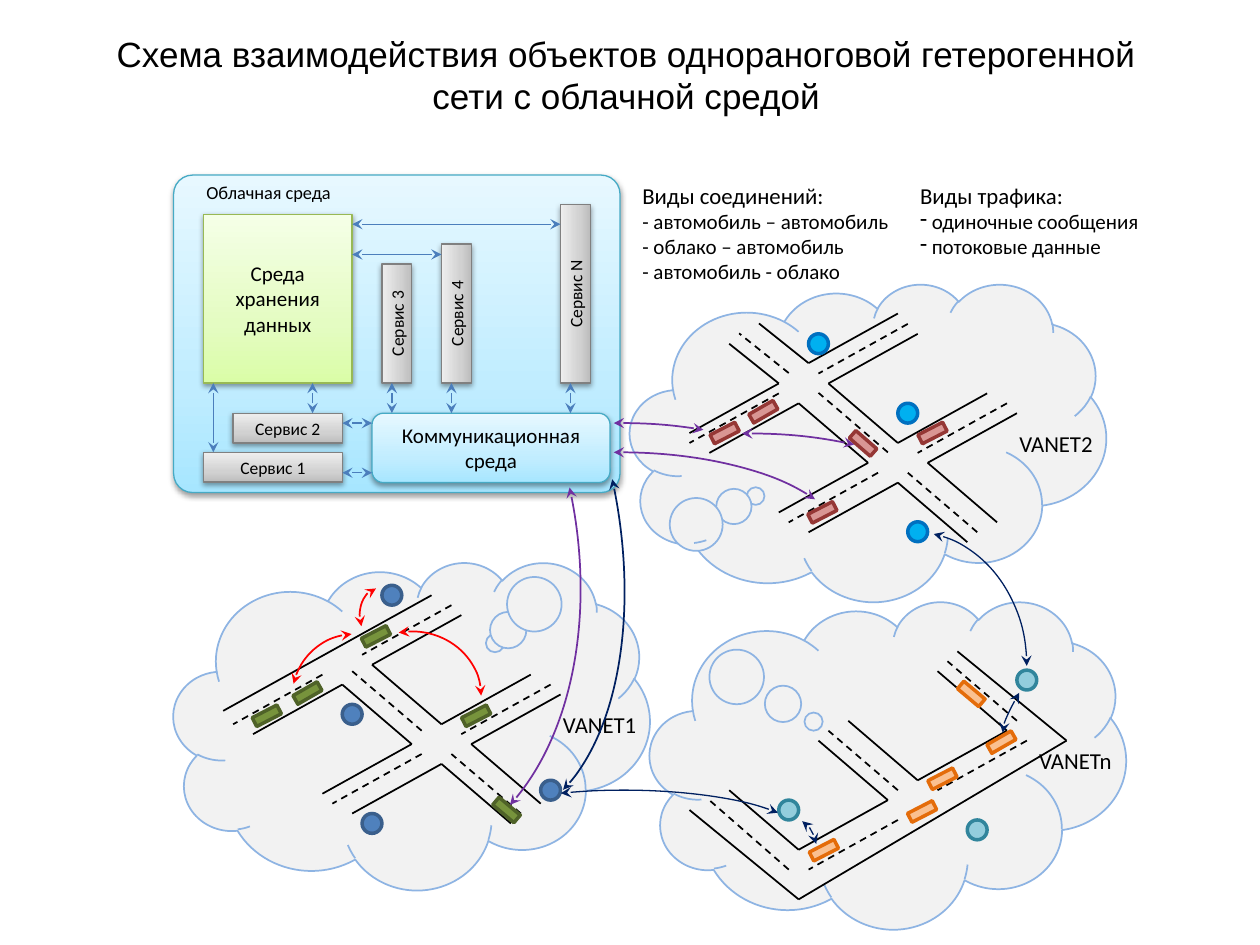
"""Build the slide showing how VANET networks interact with a cloud environment."""
from copy import deepcopy
from typing import NamedTuple

from lxml.etree import SubElement
from pptx import Presentation
from pptx.dml.color import RGBColor
from pptx.enum.dml import MSO_LINE
from pptx.enum.shapes import MSO_CONNECTOR, MSO_SHAPE
from pptx.enum.text import MSO_ANCHOR, PP_ALIGN
from pptx.oxml.ns import qn
from pptx.util import Cm, Pt

BLACK = RGBColor(0, 0, 0)
CLOUD_FILL, CLOUD_LINE = RGBColor(0xF2, 0xF2, 0xF2), RGBColor(0x8E, 0xB4, 0xE3)
LINK_BLUE = RGBColor(0x4B, 0x7E, 0xBC)
RED, PURPLE, NAVY = RGBColor(0xFF, 0, 0), RGBColor(0x70, 0x30, 0xA0), RGBColor(0, 0x20, 0x60)
STREET, AVENUE = (-1.8, 1.0), (-1.4, -1.2)
BAR_WIDTH, BAR_BOTTOM, HUB_TOP = 0.6, 7.72, 8.33


class Palette(NamedTuple):
    stops: tuple[RGBColor, RGBColor, RGBColor]
    outline: RGBColor


SKY = Palette((RGBColor(0xA7, 0xE6, 0xFF), RGBColor(0xC1, 0xED, 0xFF), RGBColor(0xE7, 0xF8, 0xFF)),
              RGBColor(0x46, 0xAA, 0xC5))
GREY = Palette((RGBColor(0xBD, 0xBD, 0xBD), RGBColor(0xD1, 0xD1, 0xD1), RGBColor(0xEE, 0xEE, 0xEE)),
               RGBColor(0x80, 0x80, 0x80))
LIME = Palette((RGBColor(0xDA, 0xFD, 0xA7), RGBColor(0xE4, 0xFC, 0xC2), RGBColor(0xF5, 0xFF, 0xE7)),
               RGBColor(0x98, 0xB9, 0x55))


class Road(NamedTuple):
    x: float
    y: float
    run: tuple[float, float]
    dashed: bool = False


class Network(NamedTuple):
    label: str
    label_at: tuple[float, float]
    cloud: tuple[float, float, float, float]
    tail: tuple[float, float]
    roads: list[Road]
    nodes: list[tuple[float, float]]
    node_colors: tuple[RGBColor, RGBColor]
    cars: list[tuple[float, float, float]]
    car_colors: tuple[RGBColor, RGBColor]


class Arc(NamedTuple):
    box: tuple[float, float, float, float]
    angles: tuple[float, float]
    color: RGBColor
    width: float = 1
    rotation: float = 0
    flipped: bool = False


def crossroads(dx: float, dy: float) -> list[Road]:
    """Return the crossing roads shared by two networks, moved by an offset."""
    edges = [(8.9, 15.4), (8.3, 15), (11.3, 14), (10.7, 13.6), (6.9, 13.8), (9.3, 12.4)]
    avenues = [(8.3, 15), (8.9, 14.6), (10.3, 16.6), (10.9, 16.2)]
    middles = [(6.5, 13.6), (9.1, 12.2), (8.5, 15.2), (11.1, 13.8)]
    return ([Road(x + dx, y + dy, STREET) for x, y in edges]
            + [Road(x + dx, y + dy, AVENUE) for x, y in avenues]
            + [Road(x + dx, y + dy, STREET, True) for x, y in middles]
            + [Road(10.5 + dx, 16.4 + dy, AVENUE, True)])


NETWORKS = [
    Network("VANET1", (11.1, 14.2), (3.5, 11.33, 9.6, 6.6), (0.175, -0.252),
            crossroads(0, 0) + [Road(8.7, 12, (-4.2, 2.33)), Road(8.5, 14.73, AVENUE, True)],
            [(6.9, 14.2), (10.9, 15.73), (7.3, 16.4), (7.7, 11.8)],
            (RGBColor(0x4F, 0x81, 0xBD), RGBColor(0x3A, 0x5F, 0x8C)),
            [(5.1, 14.33, 332.8), (7.3, 12.73, 332.8), (9.32, 14.33, 332.8),
             (5.92, 13.87, 330.1), (9.93, 16.23, 40.1)],
            (RGBColor(0x77, 0x93, 0x3C), RGBColor(0x4F, 0x62, 0x28))),
    Network("VANET2", (20.3, 8.53), (12.7, 5.72, 9.6, 6.4), (-0.236, 0.169),
            crossroads(9.2, -5.67)
            + [Road(17.9, 9.12, AVENUE, True), Road(15.7, 7.73, STREET), Road(18.1, 6.32, STREET),
               Road(15.7, 7.73, (-1, -0.8)), Road(16.3, 7.32, (-1, -0.8)),
               Road(15.9, 7.52, (-1, -0.8), True)],
            [(16.3, 6.73), (18.3, 10.52), (18.1, 8.13)],
            (RGBColor(0, 0xB0, 0xF0), RGBColor(0, 0x70, 0xC0)),
            [(14.33, 8.63, 332.8), (16.3, 10.23, 332.8), (18.52, 8.63, 332.8),
             (15.11, 8.2, 330.1), (17.12, 8.84, 41)],
            (RGBColor(0xD9, 0x96, 0x94), RGBColor(0x95, 0x37, 0x35))),
    Network("VANETn", (20.7, 14.93), (13.1, 12.12, 9.6, 6.6), (-0.156, -0.132),
            [Road(21.5, 14.93, (-5.4, 3.2)), Road(20.3, 14.73, STREET), Road(17.9, 16.13, STREET),
             Road(17.9, 16.13, AVENUE), Road(18.5, 15.73, AVENUE), Road(20.3, 14.73, AVENUE),
             Road(16.1, 17.13, AVENUE), Road(21.5, 14.93, (-2.2, -1.8)),
             Road(16.1, 18.13, (-2.2, -1.8)), Road(18.1, 16.53, STREET, True),
             Road(20.7, 14.93, STREET, True), Road(18.1, 15.93, AVENUE, True),
             Road(20.5, 14.53, AVENUE, True), Road(15.9, 17.53, (-1.6, -1.4), True)],
            [(15.7, 16.13), (19.5, 16.53), (20.5, 13.51)],
            (RGBColor(0x93, 0xCD, 0xDD), RGBColor(0x31, 0x85, 0x9C)),
            [(16.33, 17.04, 332.8), (18.31, 16.26, 332.8), (18.72, 15.6, 332.8),
             (19.91, 14.86, 330.1), (19.3, 13.89, 40.1)],
            (RGBColor(0xFA, 0xC0, 0x90), RGBColor(0xE4, 0x6C, 0x0A))),
]
BARS = [("Сервис 3", 8.0, 2.4), ("Сервис 4", 9.2, 2.8), ("Сервис N", 11.6, 3.6)]
LINKS = [(4.3, 9.12, 4.3, BAR_BOTTOM), (8.9, 5.13, 7.1, 5.13), (11.3, 4.52, 7.1, 4.52)]
LINKS += [(x, HUB_TOP, x, BAR_BOTTOM) for x in (6.3, 7.9, 9.1, 11.5)]
LINKS += [(7.5, y, 6.9, y) for y in (8.53, 9.53)]
ARCS = [
    Arc((5.89, 12.78, 2.54, 2.54), (155.41, 200.16), RED, rotation=293.1),
    Arc((6.91, 12.73, 2.79, 2.59), (154.92, 0), RED),
    Arc((7.11, 11.99, 1.3, 0.99), (162, 0), RED, rotation=253.8),
    Arc((7.9, 9.12, 9.2, 3.94), (159.8, 207.25), PURPLE),
    Arc((7.9, 8.53, 9.2, 3.94), (159.8, 187.5), PURPLE),
    Arc((0.84, 6.6, 12.95, 8.59), (159.8, 204.97), PURPLE, rotation=79.3),
    Arc((10.49, 8.74, 9.2, 3.94), (159.8, 192.39), PURPLE),
    Arc((16.1, 10.72, 4.6, 5.41), (167.46, 0), NAVY, 0.75),
    Arc((8.89, 15.93, 7.39, 2), (129.79, 210.01), NAVY, 0.75),
    Arc((15.7, 16.54, 0.79, 1.6), (165.4, 190.79), NAVY, 0.75),
    Arc((19.79, 13.92, 1.7, 0.23), (157.61, 0), NAVY, 0.75, 120, True),
    Arc((3.05, 7.24, 12.14, 6.68), (158.88, 208.82), NAVY, rotation=79.3),
]


def add_arrowheads(line) -> None:
    for end in ("a:headEnd", "a:tailEnd"):
        SubElement(line._get_or_add_ln(), qn(end), type="stealth")


def add_line(slide, start, end, color=BLACK, width=1.0):
    connector = slide.shapes.add_connector(MSO_CONNECTOR.STRAIGHT, *map(Cm, (*start, *end)))
    connector.line.color.rgb, connector.line.width = color, Pt(width)
    SubElement(connector._element.spPr, qn("a:effectLst"))
    return connector.line


def add_outlined(slide, kind, box, fill, outline, width=1.0, rotation=0.0):
    shape = slide.shapes.add_shape(kind, *map(Cm, box))
    shape.shadow.inherit = False
    shape.rotation = rotation
    if fill is None:
        shape.fill.background()
    else:
        shape.fill.solid()
        shape.fill.fore_color.rgb = fill
    shape.line.color.rgb, shape.line.width = outline, Pt(width)
    return shape


def format_text(frame, sizes, font="Calibri", align=PP_ALIGN.LEFT) -> None:
    for index, paragraph in enumerate(frame.paragraphs):
        paragraph.alignment = align
        for run in paragraph.runs:
            run.font.name, run.font.size = font, Pt(sizes[min(index, len(sizes) - 1)])
            run.font.color.rgb = BLACK


def add_text(slide, text, box, sizes, wrap=False, **style):
    frame = slide.shapes.add_textbox(*map(Cm, box)).text_frame
    frame.word_wrap, frame.text = wrap, text
    format_text(frame, sizes, **style)
    return frame


def add_block(slide, box, palette, text="", size=10, kind=MSO_SHAPE.RECTANGLE, rotation=0):
    block = add_outlined(slide, kind, box, BLACK, palette.outline, 0.75, rotation)
    block.fill.gradient()
    block.fill.gradient_angle = 90
    stop_list = block._element.spPr.find(qn("a:gradFill")).find(qn("a:gsLst"))
    stop_list.insert(1, deepcopy(stop_list[0]))
    for stop, color, position in zip(block.fill.gradient_stops, palette.stops, (0, 0.35, 1)):
        stop.color.rgb, stop.position = color, position
    shadow = SubElement(block._element.spPr.find(qn("a:effectLst")), qn("a:outerShdw"),
                        blurRad="40000", dist="20000", dir="5400000", rotWithShape="0")
    SubElement(SubElement(shadow, qn("a:srgbClr"), val="000000"), qn("a:alpha"), val="38000")
    if text:
        block.text_frame.text = text
        block.text_frame.vertical_anchor = MSO_ANCHOR.MIDDLE
        format_text(block.text_frame, [size], align=PP_ALIGN.CENTER)
    return block


def add_network(slide, network: Network) -> None:
    cloud = add_outlined(slide, MSO_SHAPE.CLOUD_CALLOUT, network.cloud, CLOUD_FILL, CLOUD_LINE)
    cloud.adjustments[0], cloud.adjustments[1] = network.tail
    for road in network.roads:
        end = road.x + road.run[0], road.y + road.run[1]
        line = add_line(slide, (road.x, road.y), end)
        if road.dashed:
            line.dash_style = MSO_LINE.DASH
    for x, y in network.nodes:
        add_outlined(slide, MSO_SHAPE.OVAL, (x, y, 0.4, 0.4), *network.node_colors, 2)
    for x, y, angle in network.cars:
        add_outlined(slide, MSO_SHAPE.RECTANGLE, (x, y, 0.56, 0.2), *network.car_colors, 2, angle)
    add_text(slide, network.label, (*network.label_at, 2, 0.8), [13])


def add_arc(slide, arc: Arc) -> None:
    shape = add_outlined(slide, MSO_SHAPE.ARC, arc.box, None, arc.color, arc.width, arc.rotation)
    shape.adjustments[0], shape.adjustments[1] = arc.angles
    if arc.flipped:
        shape._element.spPr.find(qn("a:xfrm")).set("flipV", "1")
    add_arrowheads(shape.line)


def main() -> None:
    deck = Presentation()
    deck.slide_width, deck.slide_height = Cm(25.4), Cm(19.05)
    slide = deck.slides.add_slide(deck.slide_layouts[6])
    add_text(slide, "Схема взаимодействия объектов однораноговой гетерогенной\nсети с облачной средой",
             (1.93, 0.53, 21.39, 1.96), [20], font="Arial", align=PP_ALIGN.CENTER)
    for network in NETWORKS:
        add_network(slide, network)
    panel = add_block(slide, (3.5, 3.53, 9, 6.4), SKY, kind=MSO_SHAPE.ROUNDED_RECTANGLE)
    panel.adjustments[0] = 0.06
    add_text(slide, "Облачная среда", (3.91, 3.53, 3.07, 0.71), [10.5])
    add_text(slide, "Виды соединений:\n- автомобиль – автомобиль\n- облако – автомобиль\n"
             "- автомобиль - облако", (12.7, 3.53, 5.59, 2.36), [13, 12], wrap=True)
    traffic = add_text(slide, "Виды трафика:\n одиночные сообщения\n потоковые данные",
                       (18.3, 3.53, 5, 1.83), [13, 12], wrap=True)
    for paragraph in traffic.paragraphs[1:]:
        SubElement(paragraph._p.get_or_add_pPr(), qn("a:buChar"), char="-")
    add_block(slide, (7.5, HUB_TOP, 4.8, 1.4), SKY, "Коммуникационная среда", 12,
              MSO_SHAPE.ROUNDED_RECTANGLE)
    add_block(slide, (4.1, 9.12, 2.8, BAR_WIDTH), GREY, "Сервис 1")
    add_block(slide, (4.7, HUB_TOP, 2.2, BAR_WIDTH), GREY, "Сервис 2")
    add_block(slide, (4.1, 4.32, 3, 3.4), LIME, "Среда хранения данных", 12)
    for name, center, length in BARS:
        top = BAR_BOTTOM - (length + BAR_WIDTH) / 2
        add_block(slide, (center - length / 2, top, length, BAR_WIDTH), GREY, name, rotation=270)
    for x1, y1, x2, y2 in LINKS:
        add_arrowheads(add_line(slide, (x1, y1), (x2, y2), LINK_BLUE, 0.75))
    for arc in ARCS:
        add_arc(slide, arc)
    deck.save("out.pptx")


if __name__ == "__main__":
    main()
